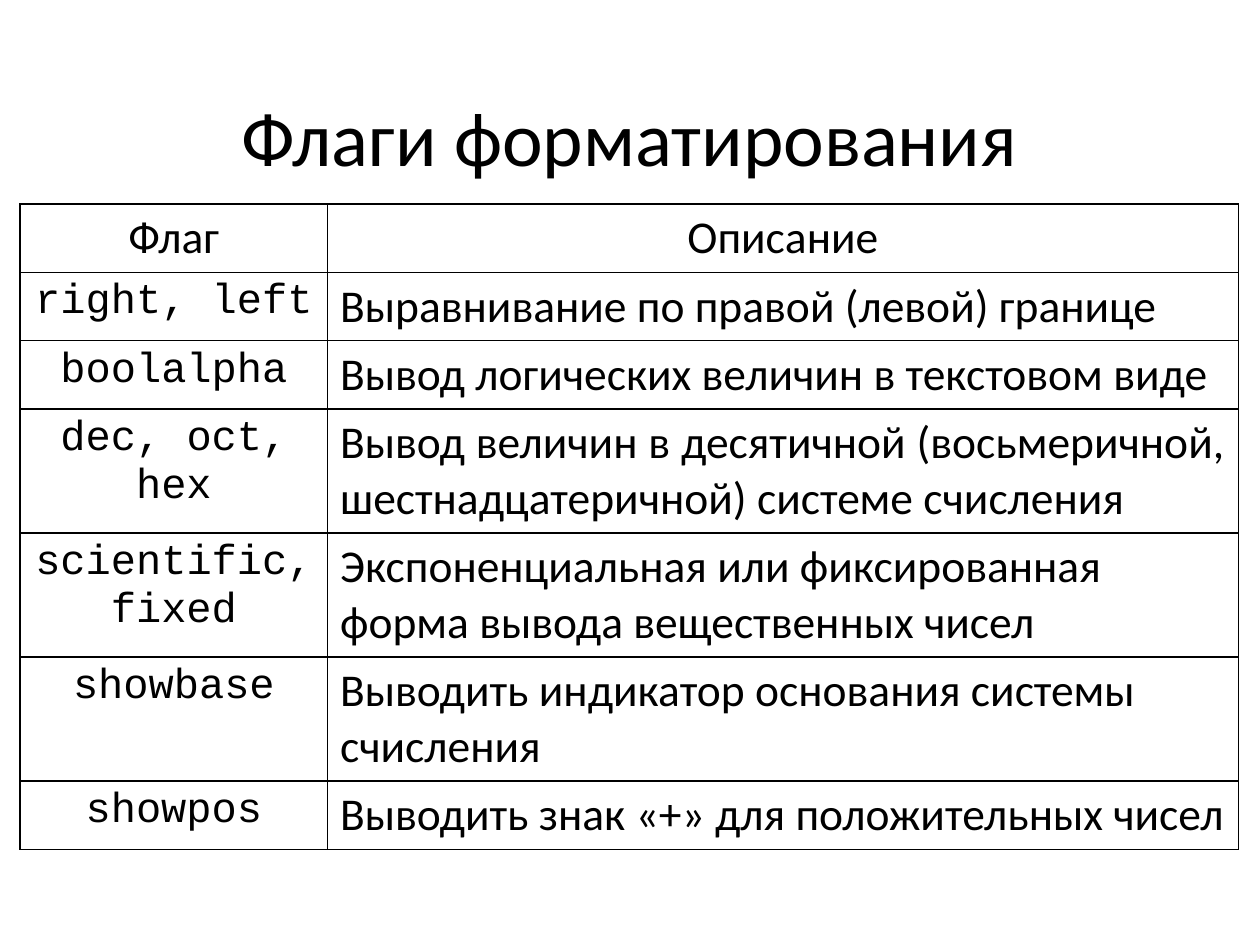
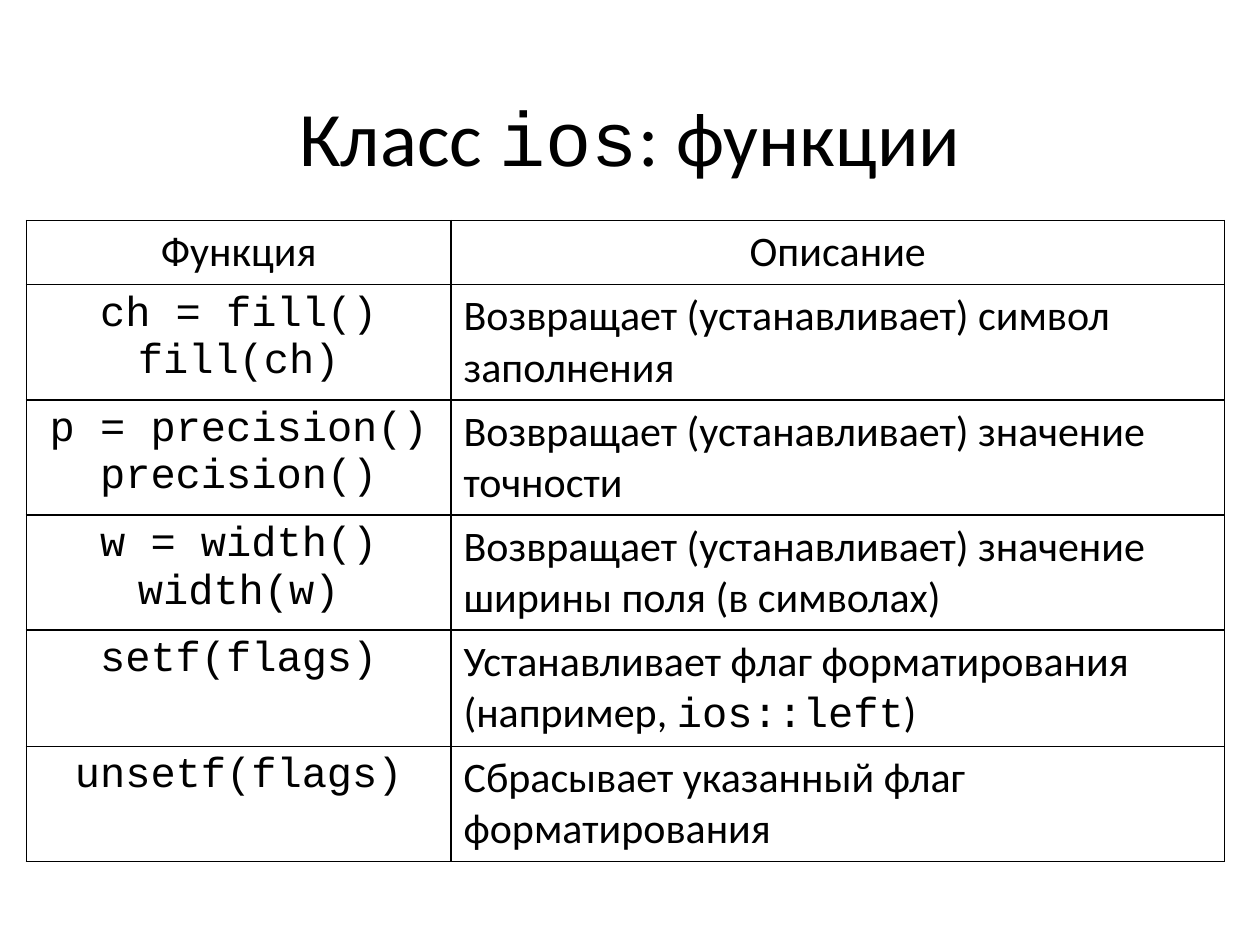
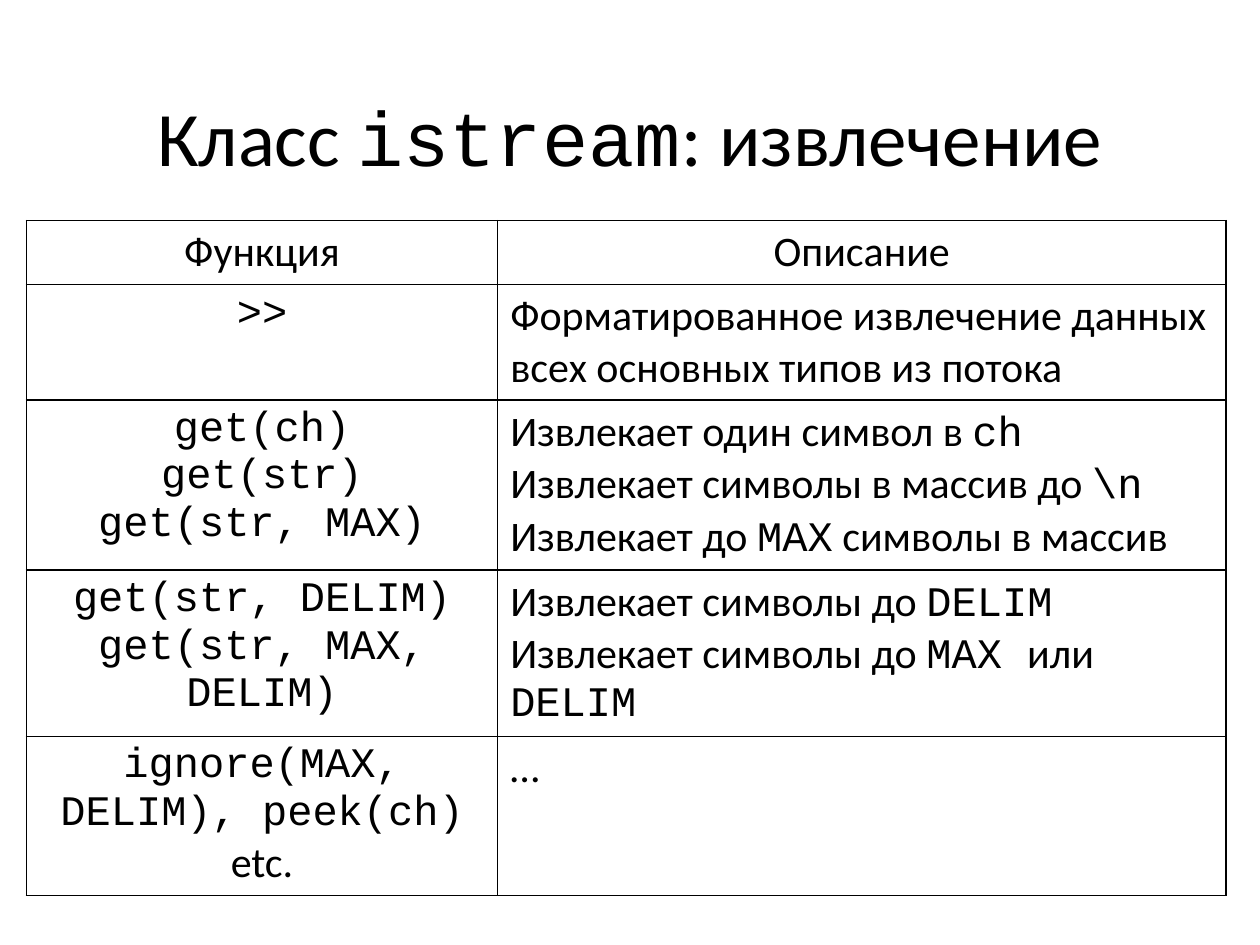
from lxml import etree
from pptx import Presentation
from pptx.dml.color import RGBColor
from pptx.enum.text import MSO_ANCHOR, PP_ALIGN
from pptx.oxml.ns import qn
from pptx.util import Inches, Pt

BLACK = RGBColor(0x00, 0x00, 0x00)
TEXT_FONT = "Calibri"
CODE_FONT = "Courier New"
CODE_SIZE = 24
TITLE_SIZE = 44
TITLE_ONLY = 5
CENTER, LEFT, JUSTIFY = PP_ALIGN.CENTER, PP_ALIGN.LEFT, PP_ALIGN.JUSTIFY
MIDDLE = MSO_ANCHOR.MIDDLE

# In all texts, parts between backticks are code and "\n" starts a paragraph.
FLAGS = [
    ("Флаг", "Описание"),
    ("`right, left`", "Выравнивание по правой (левой) границе"),
    ("`boolalpha`", "Вывод логических величин в текстовом виде"),
    ("`dec, oct, hex`",
     "Вывод величин в десятичной (восьмеричной, шестнадцатеричной) системе счисления"),
    ("`scientific, fixed`",
     "Экспоненциальная или фиксированная форма вывода вещественных чисел"),
    ("`showbase`", "Выводить индикатор основания системы счисления"),
    ("`showpos`", "Выводить знак «+» для положительных чисел"),
]
IOS_FUNCTIONS = [
    ("Функция", "Описание"),
    ("`ch = fill()`\n`fill(ch)`", "Возвращает (устанавливает) символ заполнения"),
    ("`p = precision()`\n`precision()`", "Возвращает (устанавливает) значение точности"),
    ("`w = width()`\n`width(w)`",
     "Возвращает (устанавливает) значение ширины поля (в символах)"),
    ("`setf(flags)`", "Устанавливает флаг форматирования (например, `ios::left`)"),
    ("`unsetf(flags)`", "Сбрасывает указанный флаг форматирования"),
]
ISTREAM_FUNCTIONS = [
    ("Функция", "Описание"),
    ("`>>`", "Форматированное извлечение данных всех основных типов из потока"),
    ("`get(ch)`\n`get(str)`\n`get(str, MAX)`",
     "Извлекает один символ в `ch`\n"
     "Извлекает символы в массив до `\\n`\n"
     "Извлекает до `MAX` символы в массив"),
    ("`get(str, DELIM)`\n`get(str, MAX, DELIM)`",
     "Извлекает символы до `DELIM`\nИзвлекает символы до `MAX `или `DELIM`"),
    ("`ignore(MAX, DELIM), peek(ch) `etc.", "…"),
]


def write_paragraph(paragraph, text, size, align):
    """Fill a paragraph, setting the parts between backticks in the code font."""
    parts = [(part, CODE_FONT if index % 2 else TEXT_FONT)
             for index, part in enumerate(text.split("`")) if part]
    paragraph.alignment = align
    paragraph.font.size = Pt(size)
    paragraph.font.color.rgb = BLACK
    for part, font_name in parts:
        run = paragraph.add_run()
        run.text = part
        target = paragraph if len(parts) == 1 else run
        target.font.name = font_name


def write_text(frame, text, size, align):
    for index, line in enumerate(text.split("\n")):
        paragraph = frame.add_paragraph() if index else frame.paragraphs[0]
        write_paragraph(paragraph, line, size, align)


def add_titled_slide(prs, title):
    slide = prs.slides.add_slide(prs.slide_layouts[TITLE_ONLY])
    heading = slide.shapes.title
    heading.left, heading.top = Inches(0.69), Inches(0.4)
    heading.width, heading.height = Inches(8.62), Inches(1.45)
    heading.text_frame.vertical_anchor = MIDDLE
    write_text(heading.text_frame, title, TITLE_SIZE, CENTER)
    heading.text_frame.paragraphs[0].line_spacing = 0.9
    return slide


def set_borders(cell):
    properties = cell._tc.get_or_add_tcPr()
    for position, side in enumerate(("lnL", "lnR", "lnT", "lnB")):
        line = etree.Element(qn(f"a:{side}"), w=str(Pt(1)))
        fill = etree.SubElement(line, qn("a:solidFill"))
        etree.SubElement(fill, qn("a:srgbClr"), val=str(BLACK))
        properties.insert(position, line)


def add_reference_table(slide, rows, left, top, widths, heights, size, justified=()):
    """Add a name/description table; justified lists rows with justified descriptions."""
    table = slide.shapes.add_table(
        len(rows), len(widths), Inches(left), Inches(top),
        Inches(sum(widths)), Inches(sum(heights))).table
    table.first_row = table.horz_banding = False
    for column, width in zip(table.columns, widths):
        column.width = Inches(width)
    for row, height in zip(table.rows, heights):
        row.height = Inches(height)
    for row_index, (name, description) in enumerate(rows):
        if row_index == 0:
            description_align = CENTER
        else:
            description_align = JUSTIFY if row_index in justified else LEFT
        name_size = CODE_SIZE if row_index else size
        contents = ((name, name_size, CENTER), (description, size, description_align))
        for column_index, (text, text_size, align) in enumerate(contents):
            cell = table.cell(row_index, column_index)
            cell.fill.background()
            set_borders(cell)
            write_text(cell.text_frame, text, text_size, align)


def main():
    prs = Presentation()
    prs.slide_width, prs.slide_height = Inches(10), Inches(7.5)

    flags = add_titled_slide(prs, "Флаги форматирования")
    add_reference_table(flags, FLAGS, 0.16, 1.62, (2.44, 7.23),
                        [0.54] * 3 + [0.98] * 3 + [0.54], 26, justified=(1, 2, 3))

    ios_class = add_titled_slide(prs, "Класс `ios`: функции")
    add_reference_table(ios_class, IOS_FUNCTIONS, 0.21, 1.75, (3.37, 6.14),
                        [0.51] + [0.91] * 5, 24)

    istream_class = add_titled_slide(prs, "Класс `istream`: извлечение")
    add_reference_table(istream_class, ISTREAM_FUNCTIONS, 0.21, 1.75, (3.74, 5.78),
                        [0.51, 0.91, 1.35, 1.32, 1.26], 24)

    prs.save("out.pptx")


if __name__ == "__main__":
    main()
